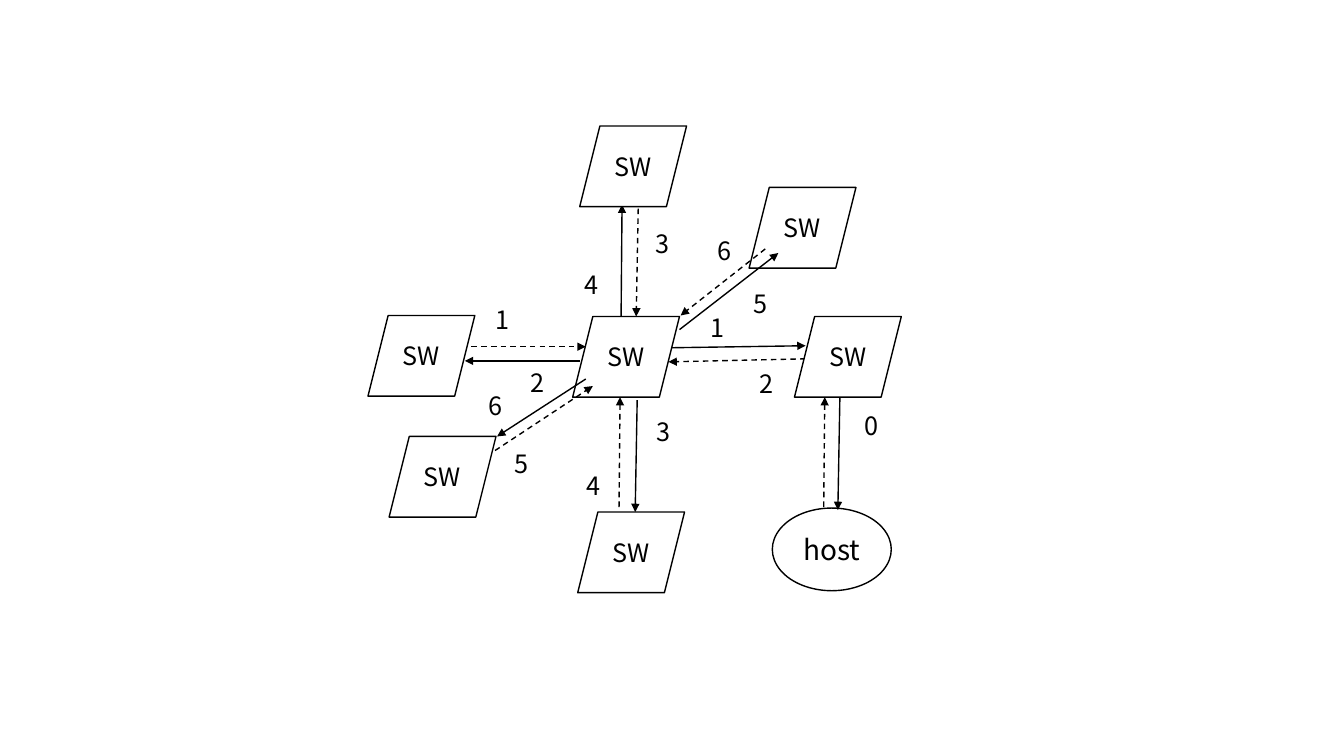
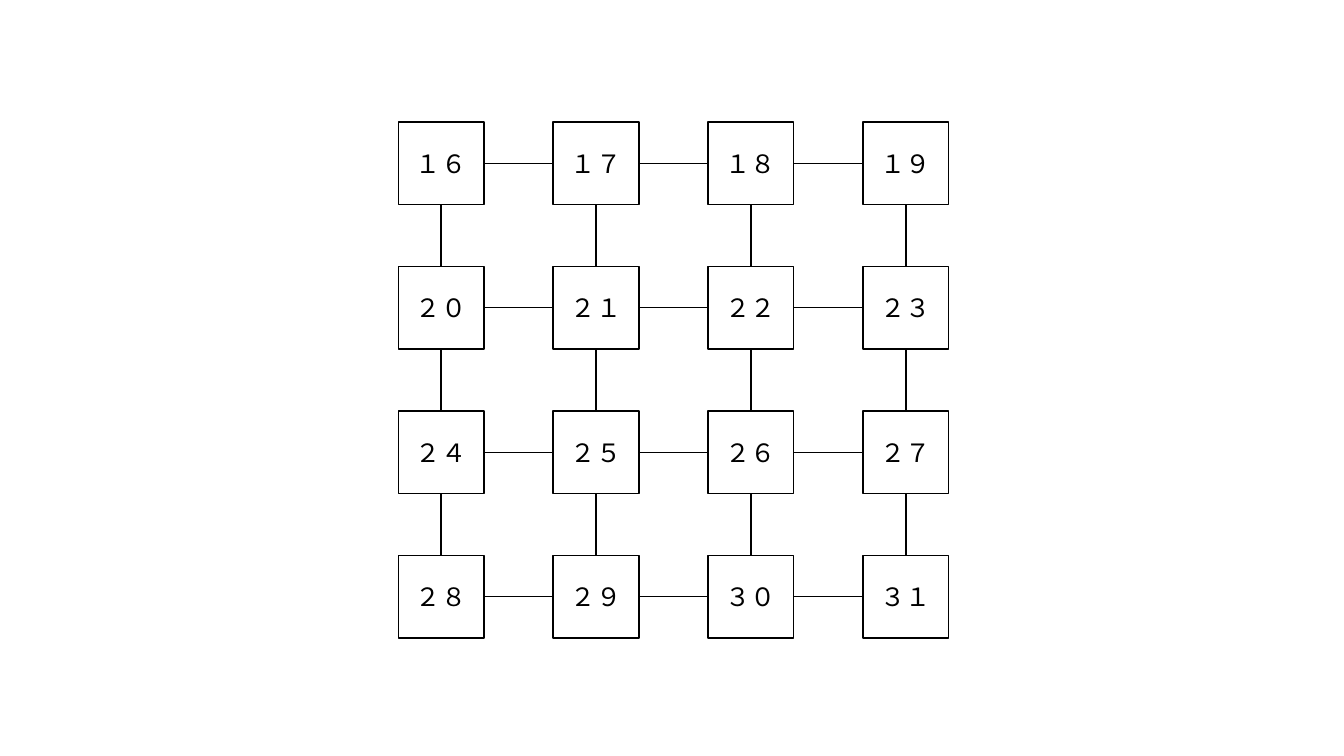
"""Build two network diagrams: the links of one switch, and a grid of nodes."""
from itertools import product

from lxml import etree
from pptx import Presentation
from pptx.dml.color import RGBColor
from pptx.enum.dml import MSO_LINE
from pptx.enum.shapes import MSO_CONNECTOR, MSO_SHAPE
from pptx.enum.text import MSO_ANCHOR, MSO_AUTO_SIZE, PP_ALIGN
from pptx.oxml.ns import qn
from pptx.util import Pt

PX = 9144
WIDTH, HEIGHT = 1333, 750
BLACK = RGBColor(0x00, 0x00, 0x00)
WHITE = RGBColor(0xFF, 0xFF, 0xFF)
FONT = "Noto Sans CJK JP"
STRAIGHT = MSO_CONNECTOR.STRAIGHT
DASH = MSO_LINE.DASH
RECT, OVAL, SKEWED = MSO_SHAPE.RECTANGLE, MSO_SHAPE.OVAL, MSO_SHAPE.PARALLELOGRAM
MIDDLE, CENTER = MSO_ANCHOR.MIDDLE, PP_ALIGN.CENTER
FIT = MSO_AUTO_SIZE.SHAPE_TO_FIT_TEXT
TOP, LEFT, BOTTOM, RIGHT = range(4)

SWITCH_SIZE = (106, 80)
SWITCHES = [(365, 313), (568, 314), (573, 508), (788, 314), (575, 125), (386, 433), (743, 186)]
HOST = (766, 504, 118, 82)

STRAIGHT_SOLID = [
    (616, 315, 617, 203), (575, 358, 461, 358),
    (632, 397, 630, 508), (665, 345, 799, 343),
]
STRAIGHT_DASHED = [
    (633, 207, 631, 314), (458, 344, 581, 344),
    (614, 503, 615, 394), (799, 356, 663, 359),
]
OUTER_SOLID = [(581, 376, 493, 433), (674, 327, 772, 251), (833, 395, 831, 506)]
OUTER_DASHED = [(759, 247, 675, 313), (491, 447, 588, 383), (817, 503, 818, 394)]

PORT_SIZE = (45, 40)
PORTS = {
    "0": [(848, 402)],
    "1": [(695, 305), (482, 297)],
    "2": [(516, 359), (743, 360)],
    "3": [(641, 408), (640, 222)],
    "4": [(570, 262), (572, 462)],
    "5": [(737, 281), (500, 440)],
    "6": [(475, 382), (702, 229)],
}

NODES = [
    ["１６", "１７", "１８", "１９"],
    ["２０", "２１", "２２", "２３"],
    ["２４", "２５", "２６", "２７"],
    ["２８", "２９", "３０", "３１"],
]
NODE_SIZE = (85, 82)
GRID_LEFT, GRID_TOP = 395, 121
LAST_LEFT, LAST_TOP = 856, 551


def emu(*lengths):
    return [round(length * PX) for length in lengths]


def write(tf, text, size=18):
    tf.word_wrap = True
    p = tf.paragraphs[0]
    p.text = text
    p.font.name = FONT
    p.font.size = Pt(size)
    p.font.color.rgb = BLACK
    props = p._p.pPr.find(qn("a:defRPr"))
    etree.SubElement(props, qn("a:ea"), typeface=FONT)
    return p


def outline(line):
    line.color.rgb = BLACK
    line.width = Pt(1)


def add_box(slide, kind, box, text, size=18, fill=None):
    sp = slide.shapes.add_shape(kind, *emu(*box))
    sp.shadow.inherit = False
    if fill is None:
        sp.fill.background()
    else:
        sp.fill.solid()
        sp.fill.fore_color.rgb = fill
    outline(sp.line)
    sp.text_frame.vertical_anchor = MIDDLE
    write(sp.text_frame, text, size).alignment = CENTER
    return sp


def add_line(slide, ends=(0, 0, 0, 0)):
    cxn = slide.shapes.add_connector(STRAIGHT, *emu(*ends))
    outline(cxn.line)
    etree.SubElement(cxn._element.spPr, qn("a:effectLst"))
    return cxn


def add_arrows(slide, solid, dashed):
    for ends in solid + dashed:
        cxn = add_line(slide, ends)
        if ends in dashed:
            cxn.line.dash_style = DASH
        ln = cxn._element.spPr.find(qn("a:ln"))
        etree.SubElement(ln, qn("a:tailEnd"), type="triangle")


def join(slide, start, start_side, end, end_side):
    cxn = add_line(slide)
    cxn.begin_connect(start, start_side)
    cxn.end_connect(end, end_side)


def build_switch_links(slide):
    add_arrows(slide, STRAIGHT_SOLID, STRAIGHT_DASHED)
    for corner in SWITCHES:
        add_box(slide, SKEWED, corner + SWITCH_SIZE, "SW", fill=WHITE)
    add_arrows(slide, OUTER_SOLID, OUTER_DASHED)
    for port, corners in PORTS.items():
        for corner in corners:
            tf = slide.shapes.add_textbox(*emu(*corner, *PORT_SIZE)).text_frame
            write(tf, port)
            tf.auto_size = FIT
    add_box(slide, OVAL, HOST, "host", size=20)


def build_node_grid(slide):
    rows, cols = len(NODES), len(NODES[0])
    step_x = (LAST_LEFT - GRID_LEFT) / (cols - 1)
    step_y = (LAST_TOP - GRID_TOP) / (rows - 1)
    nodes = {}
    for row, col in product(range(rows), range(cols)):
        corner = (GRID_LEFT + col * step_x, GRID_TOP + row * step_y)
        nodes[row, col] = add_box(slide, RECT, corner + NODE_SIZE, NODES[row][col])
    for (row, col), node in nodes.items():
        if col + 1 < cols:
            join(slide, node, RIGHT, nodes[row, col + 1], LEFT)
        if row + 1 < rows:
            join(slide, node, BOTTOM, nodes[row + 1, col], TOP)


def main():
    prs = Presentation()
    prs.slide_width, prs.slide_height = emu(WIDTH, HEIGHT)
    blank = prs.slide_layouts[6]
    for build in (build_switch_links, build_node_grid):
        build(prs.slides.add_slide(blank))
    prs.save("out.pptx")


if __name__ == "__main__":
    main()
